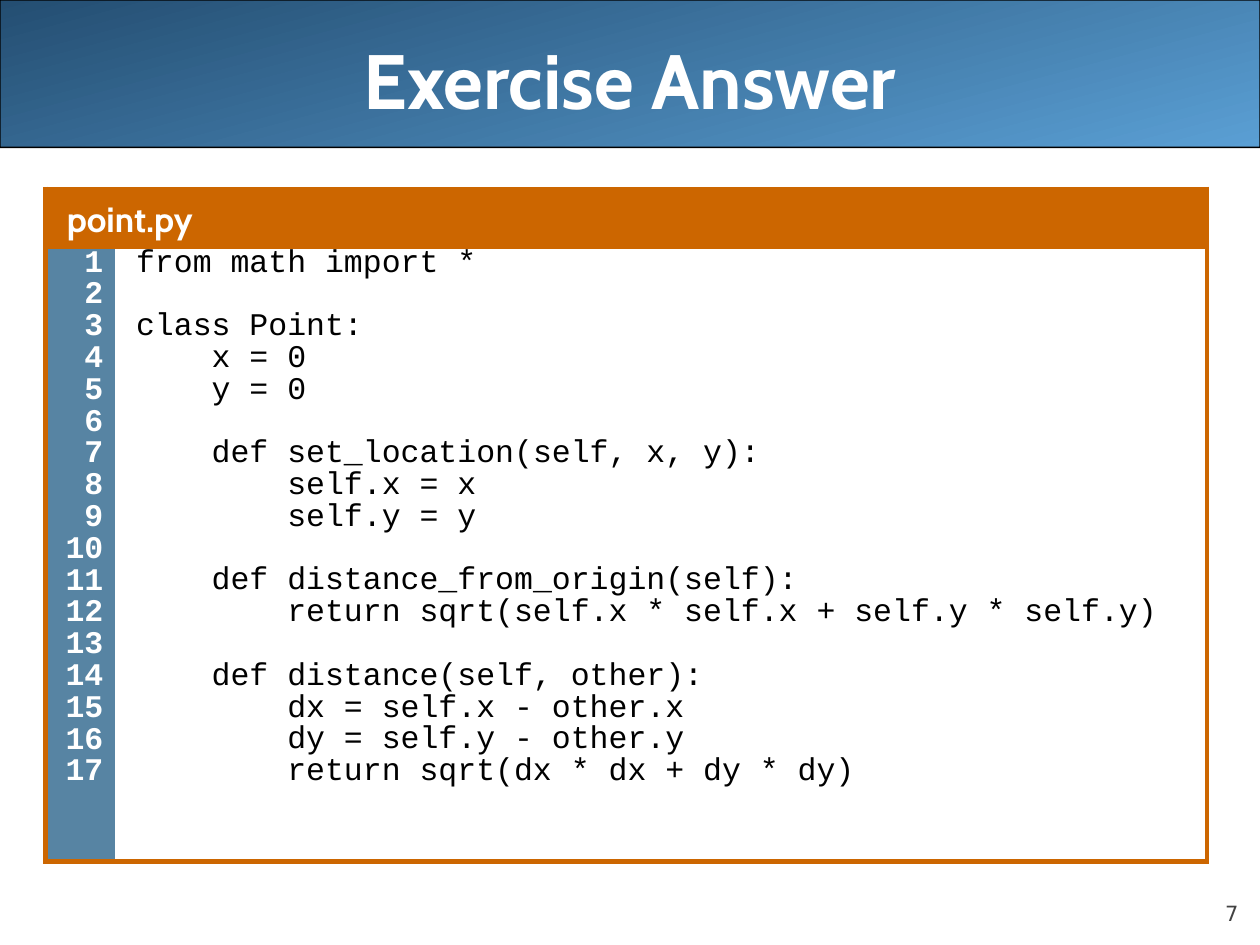
from dataclasses import dataclass

from lxml.etree import SubElement
from pptx import Presentation
from pptx.dml.color import RGBColor
from pptx.enum.shapes import MSO_SHAPE
from pptx.enum.text import MSO_ANCHOR, PP_ALIGN
from pptx.oxml import parse_xml
from pptx.oxml.ns import nsdecls, qn
from pptx.util import Inches, Pt


@dataclass(frozen=True)
class Theme:
    dark: str = "244E72"
    light: str = "5A9FD4"
    frame: str = "CC6600"
    gutter: str = "5784A3"
    white: str = "FFFFFF"
    black: str = "000000"
    gray: str = "424242"
    head: str = "Cabin"
    mono: str = "Courier New"
    plain: str = "DejaVu Sans"
    title: int = 44
    file: int = 20
    code: int = 18
    page: int = 12


T = Theme()
INSET = 0.12  # left indent of the file name and the code, in inches
STEP = 0.6  # four monospaced characters at the code size, in inches
LEAD = 4.5  # space before each line, in points
PITCH = 18.15  # distance between code lines, in points

# Indent level and text; None leaves a line free
CODE = [
    (0, "from math import *"),
    None,
    (0, "class Point:"),
    (1, "x = 0"),
    (1, "y = 0"),
    None,
    (1, "def set_location(self, x, y):"),
    (2, "self.x = x"),
    (2, "self.y = y"),
    None,
    (1, "def distance_from_origin(self):"),
    (2, "return sqrt(self.x * self.x + self.y * self.y)"),
    None,
    (1, "def distance(self, other):"),
    (2, "dx = self.x - other.x"),
    (2, "dy = self.y - other.y"),
    (2, "return sqrt(dx * dx + dy * dy)"),
]


def assign(item, values):
    for name, value in values.items():
        setattr(item, name, value)


def box(left, top, width, height):
    return [Inches(n) for n in (left, top, width, height)]


def write(para, text, font, color, layout):
    assign(para, layout)
    run = para.add_run()
    run.text = text
    assign(run.font, font)
    run.font.color.rgb = RGBColor.from_string(color)


def lines(frame, rows, font, color, layout):
    """Write (left, gap, text) rows, with indents and gaps set by spacing."""
    for num, (left, gap, text) in enumerate(rows):
        para = frame.paragraphs[0] if num == 0 else frame.add_paragraph()
        space = {"space_before": Pt(LEAD + gap * PITCH), "line_spacing": 0.67}
        write(para, text, font, color, {**layout, **space})
        indent(para, left)


def indent(para, left):
    props = para._p.get_or_add_pPr()
    props.set("marL", str(Inches(left)))
    props.set("indent", "0")


def style(cell, color, edges, right):
    """Fill a cell, set its margins and draw a border on the named edges."""
    cell.fill.solid()
    cell.fill.fore_color.rgb = RGBColor.from_string(color)
    assign(cell, {
        "margin_left": Inches(0.05), "margin_top": Inches(0.05),
        "margin_right": Inches(right), "margin_bottom": Inches(0.05),
        "vertical_anchor": MSO_ANCHOR.TOP,
    })
    props = cell._tc.get_or_add_tcPr()
    for spot, edge in enumerate("LRTB"):
        line = parse_xml(f'<a:ln{edge} {nsdecls("a")} w="{Pt(3)}"/>')
        if edge in edges:
            fill = SubElement(line, qn("a:solidFill"))
            SubElement(fill, qn("a:srgbClr")).set("val", T.frame)
        else:
            SubElement(line, qn("a:noFill"))
        props.insert(spot, line)


def banner(slide):
    band = slide.shapes.add_shape(
        MSO_SHAPE.ROUNDED_RECTANGLE, *box(0, 0, 10, 1.17))
    band.adjustments[0] = 0.001
    band.shadow.inherit = False
    band.fill.gradient()
    band.fill.gradient_angle = 285
    for stop, spot, color in zip(
            band.fill.gradient_stops, (0, 1), (T.dark, T.light)):
        stop.position = spot
        stop.color.rgb = RGBColor.from_string(color)
    band.line.color.rgb = RGBColor.from_string(T.black)
    band.line.width = Pt(0.75)
    return band


def heading(slide, text):
    title = slide.shapes.title
    names = ("left", "top", "width", "height")
    assign(title, dict(zip(names, box(0.5, 0, 9, 1.25))))
    title.text_frame.vertical_anchor = MSO_ANCHOR.MIDDLE
    write(title.text_frame.paragraphs[0], text,
          {"name": T.head, "size": Pt(T.title), "bold": True}, T.white,
          {"alignment": PP_ALIGN.CENTER})
    # The band lies behind the title
    title.element.addprevious(banner(slide).element)


def number(slide, text):
    frame = slide.shapes.add_textbox(*box(9, 6.95, 0.83, 0.4)).text_frame
    assign(frame, {
        "word_wrap": True, "vertical_anchor": MSO_ANCHOR.BOTTOM,
        "margin_left": 0, "margin_top": 0,
        "margin_right": 0, "margin_bottom": 0,
    })
    write(frame.paragraphs[0], text,
          {"name": T.plain, "size": Pt(T.page)}, T.gray,
          {"alignment": PP_ALIGN.RIGHT, "space_before": Pt(5)})


def listing(slide, name, code):
    table = slide.shapes.add_table(2, 2, *box(0.36, 1.5, 9.22, 5.33)).table
    assign(table, {"first_row": False, "horz_banding": False})
    for col, width in zip(table.columns, (0.55, 8.67)):
        col.width = Inches(width)
    for row, height in zip(table.rows, (0.45, 4.88)):
        row.height = Inches(height)

    # File name across both columns
    top = table.cell(0, 0)
    top.merge(table.cell(0, 1))
    style(top, T.frame, "LRTB", 0.05)
    style(table.cell(0, 1), T.frame, "LRTB", 0.05)
    para = top.text_frame.paragraphs[0]
    write(para, name, {"name": T.head, "size": Pt(T.file), "bold": True},
          T.white, {"line_spacing": 1.07, "space_before": Pt(5)})
    indent(para, INSET)

    # Line numbers, without indent so that two digits fit
    mono = {"name": T.mono, "size": Pt(T.code)}
    side, body = table.cell(1, 0), table.cell(1, 1)
    style(side, T.gutter, "LTB", 0.09)
    count = [(0, 0, str(n + 1)) for n in range(len(code))]
    lines(side.text_frame, count, {**mono, "bold": True}, T.white,
          {"alignment": PP_ALIGN.RIGHT})

    # Code, with a wider gap after each free line
    style(body, T.white, "RTB", 0.18)
    rows = [(INSET + line[0] * STEP, int(n > 0 and code[n - 1] is None),
             line[1]) for n, line in enumerate(code) if line]
    lines(body.text_frame, rows, {**mono, "bold": False}, T.black,
          {"alignment": PP_ALIGN.LEFT})


def main():
    deck = Presentation()
    deck.slide_width, deck.slide_height = Inches(10), Inches(7.5)
    slide = deck.slides.add_slide(deck.slide_layouts[5])
    heading(slide, "Exercise Answer")
    number(slide, "7")
    listing(slide, "point.py", CODE)
    deck.save("out.pptx")


if __name__ == "__main__":
    main()
